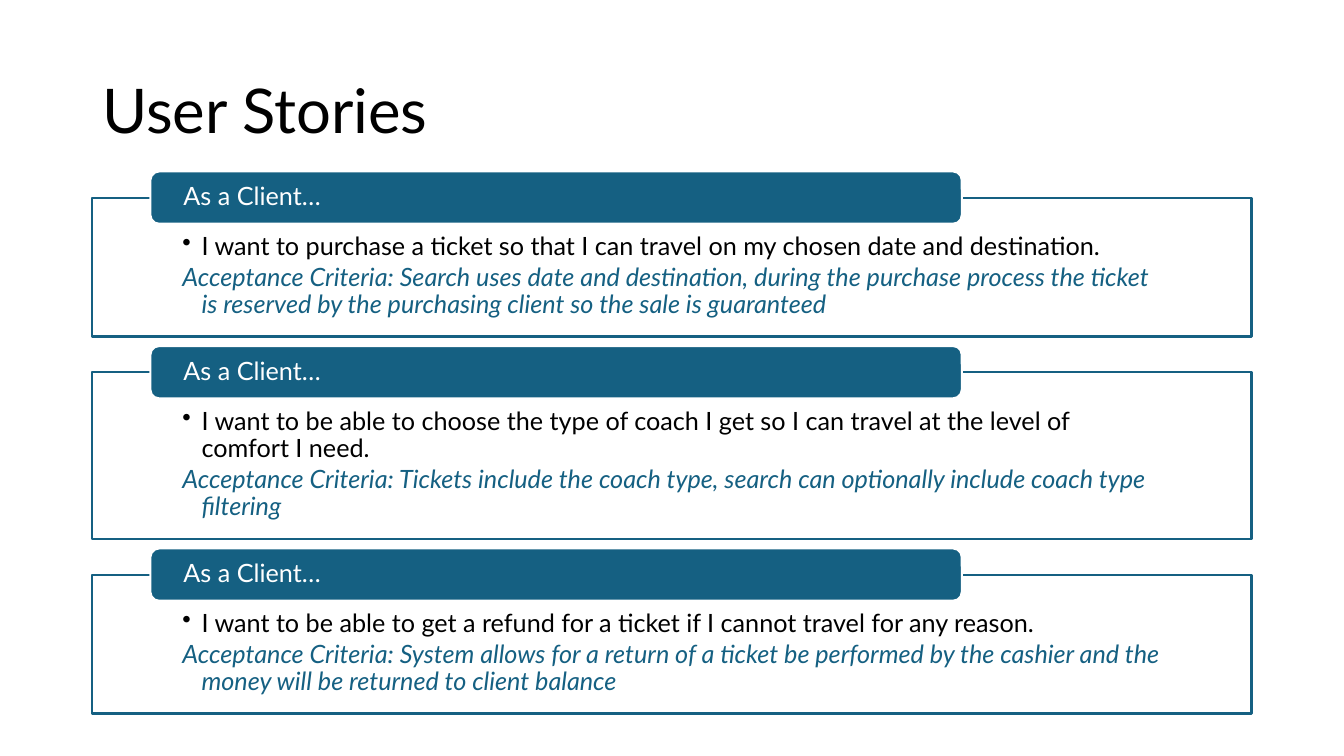
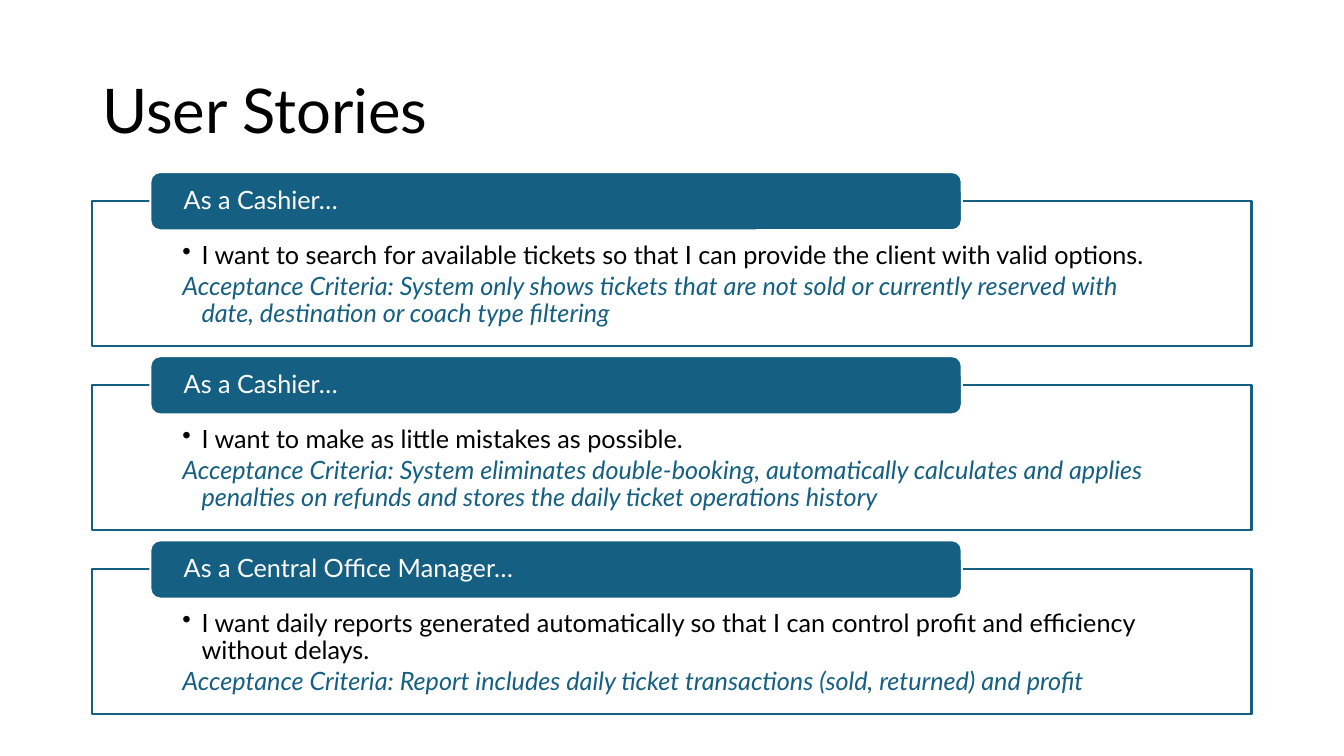
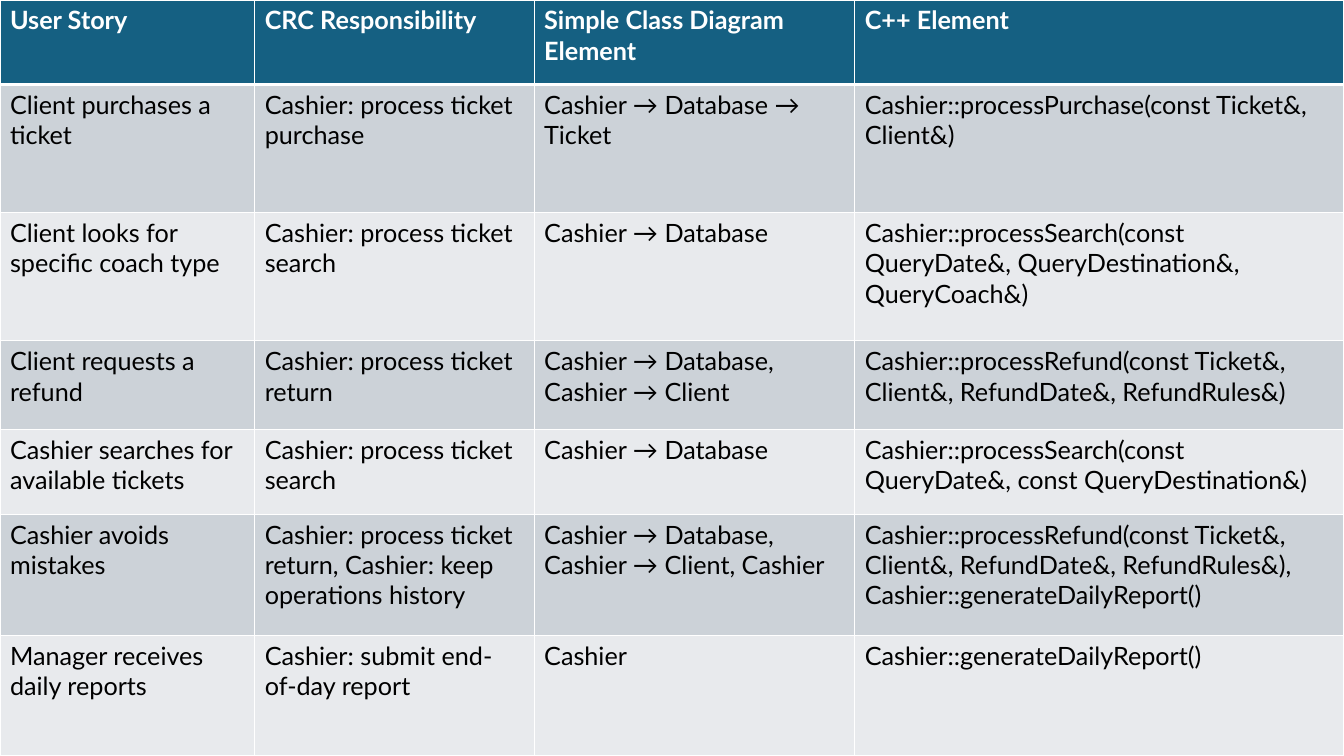
from dataclasses import dataclass

from lxml.etree import SubElement
from pptx import Presentation
from pptx.dml.color import RGBColor
from pptx.enum.shapes import MSO_SHAPE
from pptx.enum.text import MSO_ANCHOR, PP_ALIGN
from pptx.oxml.ns import qn
from pptx.presentation import Presentation as Deck
from pptx.shapes.autoshape import Shape
from pptx.slide import Slide
from pptx.table import _Cell as Cell
from pptx.text.text import _Paragraph as Paragraph
from pptx.util import Cm, Pt


@dataclass(frozen=True)
class Theme:
    font: str = "Lato"
    accent: RGBColor = RGBColor(0x15, 0x60, 0x82)
    black: RGBColor = RGBColor(0, 0, 0)
    white: RGBColor = RGBColor(0xFF, 0xFF, 0xFF)
    bands: tuple[RGBColor, RGBColor] = (RGBColor(0xCC, 0xD2, 0xD8), RGBColor(0xE8, 0xEA, 0xED))
    title_size: float = 44
    body_size: float = 18
    outline: float = 1.5
    grid_line: float = 1
    header_line: float = 3


@dataclass(frozen=True)
class Story:
    role: str
    wish: str
    criteria: str
    height: float


@dataclass(frozen=True)
class StoryBoard:
    top: float
    gap: float
    tab_height: float
    text_top: float
    stories: tuple[Story, ...]


THEME = Theme()
SLIDE_WIDTH, SLIDE_HEIGHT = 33.87, 19.05
CONTENT_LEFT, CONTENT_WIDTH = 2.33, 29.21
TAB_LEFT, TAB_WIDTH = 3.79, 20.45
HANGING_INDENT = 0.48

STORY_BOARDS = (
    StoryBoard(4.98, 0.9, 1.32, 0.91, (
        Story("As a Client…",
              "I want to purchase a ticket so that I can travel on my chosen date and destination.",
              "Search uses date and destination, during the purchase process the ticket is reserved "
              "by the purchasing client so the sale is guaranteed", 3.5),
        Story("As a Client…",
              "I want to be able to choose the type of coach I get so I can travel at the level of "
              "comfort I need.",
              "Tickets include the coach type, search can optionally include coach type filtering", 4.2),
        Story("As a Client…",
              "I want to be able to get a refund for a ticket if I cannot travel for any reason.",
              "System allows for a return of a ticket be performed by the cashier and the money "
              "will be returned to client balance", 3.5),
    )),
    StoryBoard(5.07, 1.0, 1.47, 1.04, (
        Story("As a Cashier…",
              "I want to search for available tickets so that I can provide the client with valid options.",
              "System only shows tickets that are not sold or currently reserved with date, "
              "destination or coach type filtering", 3.64),
        Story("As a Cashier…",
              "I want to make as little mistakes as possible.",
              "System eliminates double-booking, automatically calculates and applies penalties "
              "on refunds and stores the daily ticket operations history", 3.64),
        Story("As a Central Office Manager…",
              "I want daily reports generated automatically so that I can control profit and "
              "efficiency without delays.",
              "Report includes daily ticket transactions (sold, returned) and profit", 3.64),
    )),
)

COLUMN_WIDTHS = (6.42, 7.04, 8.08, 12.33)
ROW_HEIGHTS = (2.13, 3.23, 3.23, 2.24, 2.13, 3.05, 3.04)
TRACE_ROWS = (
    ("User Story", "CRC Responsibility", "Simple Class Diagram Element", "C++ Element"),
    ("Client purchases a ticket", "Cashier: process ticket purchase",
     "Cashier → Database → Ticket", "Cashier::processPurchase(const Ticket&, Client&)"),
    ("Client looks for specific coach type", "Cashier: process ticket search",
     "Cashier → Database",
     "Cashier::processSearch(const QueryDate&, QueryDestination&, QueryCoach&)"),
    ("Client requests a refund", "Cashier: process ticket return",
     "Cashier → Database, Cashier → Client",
     "Cashier::processRefund(const Ticket&, Client&, RefundDate&, RefundRules&)"),
    ("Cashier searches for available tickets", "Cashier: process ticket search",
     "Cashier → Database",
     "Cashier::processSearch(const QueryDate&, const QueryDestination&)"),
    ("Cashier avoids mistakes",
     "Cashier: process ticket return, Cashier: keep operations history",
     "Cashier → Database, Cashier → Client, Cashier",
     "Cashier::processRefund(const Ticket&, Client&, RefundDate&, RefundRules&), "
     "Cashier::generateDailyReport()"),
    ("Manager receives daily reports", "Cashier: submit end-of-day report",
     "Cashier", "Cashier::generateDailyReport()"),
)


def add_slide(presentation: Deck) -> Slide:
    return presentation.slides.add_slide(presentation.slide_layouts[6])


def write(paragraph: Paragraph, text: str, color: RGBColor, size: float = THEME.body_size,
          bold: bool = False, italic: bool = False, line_spacing: float = 0.9) -> None:
    paragraph.text = text
    paragraph.alignment = PP_ALIGN.LEFT
    paragraph.line_spacing = line_spacing
    font = paragraph.font
    font.name, font.size = THEME.font, Pt(size)
    font.bold, font.italic = bold, italic
    font.color.rgb = color


def hang(paragraph: Paragraph, bullet: str | None = None) -> None:
    properties = paragraph._p.get_or_add_pPr()
    properties.set("marL", str(Cm(HANGING_INDENT)))
    properties.set("indent", str(Cm(-HANGING_INDENT)))
    if bullet:
        SubElement(properties, qn("a:buChar"), char=bullet)
    else:
        SubElement(properties, qn("a:buNone"))
    paragraph.space_after = Pt(2.7)


def add_title(slide: Slide, text: str) -> None:
    title = slide.shapes.add_textbox(Cm(CONTENT_LEFT), Cm(1.01), Cm(CONTENT_WIDTH), Cm(3.68))
    title.text_frame.word_wrap = True
    title.text_frame.vertical_anchor = MSO_ANCHOR.MIDDLE
    write(title.text_frame.paragraphs[0], text, THEME.black, THEME.title_size)


def add_panel(slide: Slide, kind: MSO_SHAPE, left: float, top: float, width: float, height: float,
              fill: RGBColor, line: RGBColor, margins: tuple[float, float, float]) -> Shape:
    shape = slide.shapes.add_shape(kind, Cm(left), Cm(top), Cm(width), Cm(height))
    shape.shadow.inherit = False
    shape.fill.solid()
    shape.fill.fore_color.rgb = fill
    shape.line.color.rgb = line
    shape.line.width = Pt(THEME.outline)
    side, above, below = margins
    frame = shape.text_frame
    frame.word_wrap = True
    frame.margin_left = frame.margin_right = Cm(side)
    frame.margin_top, frame.margin_bottom = Cm(above), Cm(below)
    return shape


def add_story(slide: Slide, board: StoryBoard, story: Story, top: float) -> None:
    box = add_panel(slide, MSO_SHAPE.RECTANGLE, CONTENT_LEFT, top, CONTENT_WIDTH, story.height,
                    THEME.white, THEME.accent, (2.27, board.text_top, 0.36))
    box_color = box._element.spPr.find(qn("a:solidFill"))[0]
    SubElement(box_color, qn("a:alpha"), val="90000")
    box.text_frame.vertical_anchor = MSO_ANCHOR.TOP
    wish = box.text_frame.paragraphs[0]
    hang(wish, "•")
    write(wish, story.wish, THEME.black)
    criteria = box.text_frame.add_paragraph()
    hang(criteria)
    write(criteria, f"Acceptance Criteria: {story.criteria}", THEME.accent, italic=True)

    tab = add_panel(slide, MSO_SHAPE.ROUNDED_RECTANGLE, TAB_LEFT, top - board.tab_height / 2,
                    TAB_WIDTH, board.tab_height, THEME.accent, THEME.white, (0.77, 0, 0))
    tab.text_frame.vertical_anchor = MSO_ANCHOR.MIDDLE
    write(tab.text_frame.paragraphs[0], story.role, THEME.white)


def add_story_slide(presentation: Deck, board: StoryBoard) -> None:
    slide = add_slide(presentation)
    add_title(slide, "User Stories")
    top = board.top
    for story in board.stories:
        add_story(slide, board, story, top)
        top += story.height + board.gap


def set_borders(cell: Cell, top: float, bottom: float) -> None:
    widths = {"L": THEME.grid_line, "R": THEME.grid_line, "T": top, "B": bottom}
    properties = cell._tc.get_or_add_tcPr()
    for side, width in widths.items():
        border = SubElement(properties, qn(f"a:ln{side}"), w=str(Pt(width)))
        SubElement(SubElement(border, qn("a:solidFill")), qn("a:srgbClr"), val=str(THEME.white))


def add_trace_slide(presentation: Deck) -> None:
    slide = add_slide(presentation)
    table = slide.shapes.add_table(len(ROW_HEIGHTS), len(COLUMN_WIDTHS), 0, 0,
                                   Cm(SLIDE_WIDTH), Cm(SLIDE_HEIGHT)).table
    for column, width in zip(table.columns, COLUMN_WIDTHS):
        column.width = Cm(width)
    for index, (row, height, texts) in enumerate(zip(table.rows, ROW_HEIGHTS, TRACE_ROWS)):
        row.height = Cm(height)
        header = index == 0
        for cell, text in zip(row.cells, texts):
            set_borders(cell, THEME.header_line if index == 1 else THEME.grid_line,
                        THEME.header_line if header else THEME.grid_line)
            cell.fill.solid()
            cell.fill.fore_color.rgb = THEME.accent if header else THEME.bands[(index - 1) % 2]
            write(cell.text_frame.paragraphs[0], text, THEME.white if header else THEME.black,
                  bold=header, line_spacing=1.0)


def main() -> None:
    presentation = Presentation()
    presentation.slide_width, presentation.slide_height = Cm(SLIDE_WIDTH), Cm(SLIDE_HEIGHT)
    for board in STORY_BOARDS:
        add_story_slide(presentation, board)
    add_trace_slide(presentation)
    presentation.save("out.pptx")


if __name__ == "__main__":
    main()
